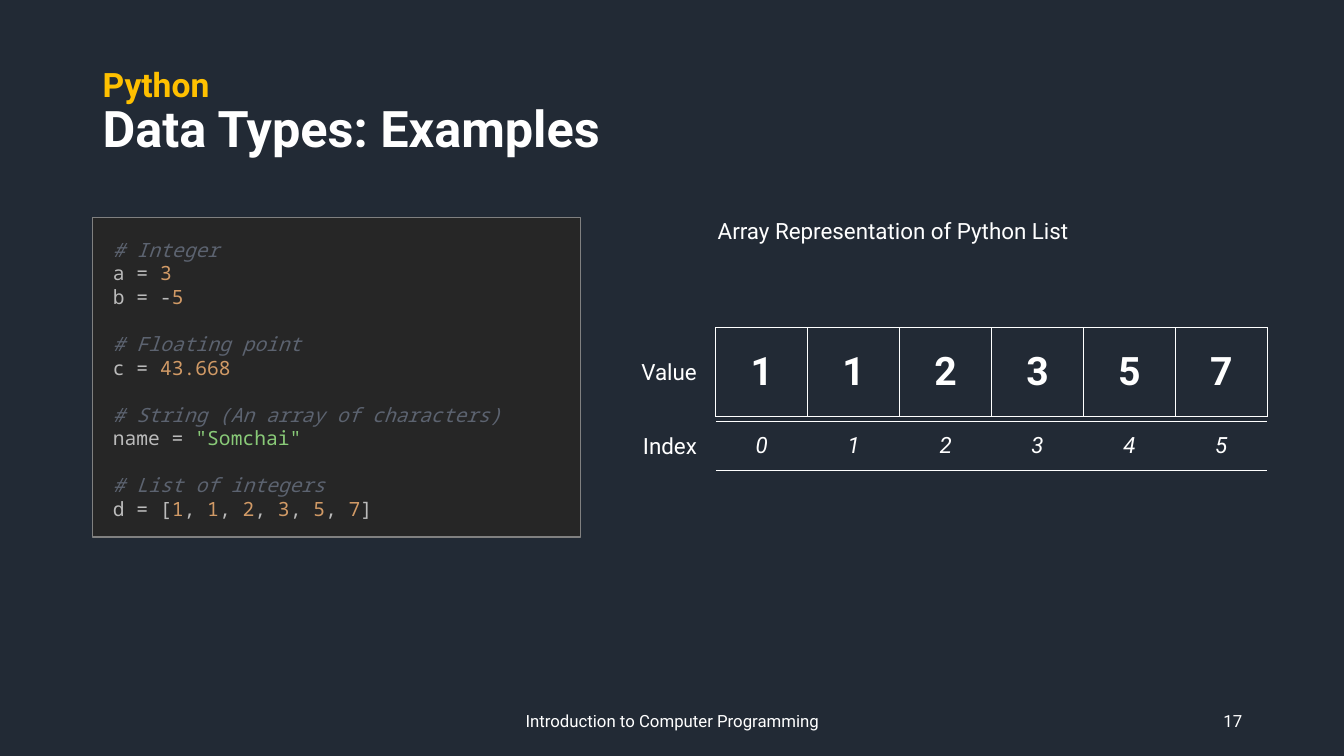
from lxml import etree
from pptx import Presentation
from pptx.dml.color import RGBColor
from pptx.enum.shapes import MSO_SHAPE
from pptx.enum.text import MSO_ANCHOR, PP_ALIGN
from pptx.oxml.ns import qn
from pptx.util import Inches, Pt

LEFT, CENTER, RIGHT = PP_ALIGN.LEFT, PP_ALIGN.CENTER, PP_ALIGN.RIGHT
TOP, MIDDLE = MSO_ANCHOR.TOP, MSO_ANCHOR.MIDDLE
RECTANGLE = MSO_SHAPE.RECTANGLE

BACKGROUND = RGBColor(0x22, 0x2A, 0x35)
WHITE = RGBColor(0xFF, 0xFF, 0xFF)
GOLD = RGBColor(0xFF, 0xC0, 0x00)
CODE_FILL = RGBColor(0x26, 0x26, 0x26)
CODE_BORDER = RGBColor(0x80, 0x80, 0x80)
COMMENT = RGBColor(0x5C, 0x63, 0x70)
PLAIN = RGBColor(0xBB, 0xBB, 0xBB)
NUMBER = RGBColor(0xD1, 0x9A, 0x66)
STRING = RGBColor(0x89, 0xCA, 0x78)


def style(paragraph, size, color=WHITE, align=LEFT, bold=False, italic=False, name="Roboto"):
    paragraph.alignment = align
    font = paragraph.font
    font.name, font.size, font.bold, font.italic = name, Pt(size), bold, italic
    font.color.rgb = color


def add_text(left, top, width, height, lines, align=LEFT, anchor=TOP):
    box = slide.shapes.add_textbox(Inches(left), Inches(top), Inches(width), Inches(height))
    frame = box.text_frame
    frame.word_wrap = True
    frame.vertical_anchor = anchor
    frame.text = "\n".join(text for text, *_ in lines)
    for paragraph, (_, size, color, bold) in zip(frame.paragraphs, lines):
        style(paragraph, size, color, align, bold)
    return frame


presentation = Presentation()
presentation.slide_width = Inches(13.33)
presentation.slide_height = Inches(7.5)
slide = presentation.slides.add_slide(presentation.slide_layouts[6])
slide.background.fill.solid()
slide.background.fill.fore_color.rgb = BACKGROUND

title = add_text(0.92, 0.4, 11.5, 1.45,
                 [("Python", 24, GOLD, True), ("Data Types: Examples", 36, WHITE, True)],
                 anchor=MIDDLE)
for paragraph in title.paragraphs:
    paragraph.line_spacing = 0.9

LABELS = [
    (4.42, 6.95, 4.5, 0.4, "Introduction to Computer Programming", 12, CENTER, MIDDLE),
    (9.42, 6.95, 3, 0.4, "17", 12, RIGHT, MIDDLE),
    (5.8, 4.24, 1.21, 0.37, "Index", 16, RIGHT, TOP),
    (5.8, 3.5, 1.21, 0.37, "Value", 16, RIGHT, TOP),
    (7.02, 2.11, 5.31, 0.37, "Array Representation of Python List", 16, LEFT, TOP),
]
for left, top, width, height, text, size, align, anchor in LABELS:
    add_text(left, top, width, height, [(text, size, WHITE, False)], align, anchor)

values = ["1", "1", "2", "3", "5", "7"]
list_runs = [("d = [", PLAIN)]
for position, value in enumerate(values):
    if position:
        list_runs.append((", ", PLAIN))
    list_runs.append((value, NUMBER))
list_runs.append(("]", PLAIN))

CODE_BLOCKS = [
    ("# Integer", [[("a = ", PLAIN), ("3", NUMBER)], [("b = -", PLAIN), ("5", NUMBER)]]),
    ("# Floating point", [[("c = ", PLAIN), ("43.668", NUMBER)]]),
    ("# String (An array of characters)", [[("name = ", PLAIN), ('"Somchai"', STRING)]]),
    ("# List of integers", [list_runs]),
]
code_box = slide.shapes.add_shape(RECTANGLE, Inches(0.92), Inches(2.16), Inches(4.84), Inches(3.17))
code_box.shadow.inherit = False
code_box.fill.solid()
code_box.fill.fore_color.rgb = CODE_FILL
code_box.line.color.rgb = CODE_BORDER
code_box.line.width = Pt(1)
code = code_box.text_frame
code.word_wrap = True
code.vertical_anchor = TOP
code.margin_left = code.margin_top = code.margin_right = code.margin_bottom = Inches(0.2)
for block, (comment, statements) in enumerate(CODE_BLOCKS):
    for row, runs in enumerate([[(comment, COMMENT)]] + statements):
        is_first = block == 0 and row == 0
        paragraph = code.paragraphs[0] if is_first else code.add_paragraph()
        style(paragraph, 14, PLAIN, italic=row == 0, name="Noto Sans Mono")
        if row == 0 and block:
            paragraph.space_before = Pt(16.85)
        for text, color in runs:
            run = paragraph.add_run()
            run.text = text
            run.font.color.rgb = color

TABLES = [
    (3.25, 0.88, values, 28, True, ("lnL", "lnR", "lnT", "lnB")),
    (4.18, 0.49, [str(index) for index in range(len(values))], 16, False, ("lnT", "lnB")),
]
for top, height, texts, size, is_value, borders in TABLES:
    table = slide.shapes.add_table(1, len(texts), Inches(7.1), Inches(top),
                                   Inches(5.47), Inches(height)).table
    table.first_row = table.horz_banding = False
    for cell, text in zip(table.iter_cells(), texts):
        cell.text = text
        cell.vertical_anchor = MIDDLE
        style(cell.text_frame.paragraphs[0], size, WHITE, CENTER, is_value, not is_value)
        properties = cell._tc.get_or_add_tcPr()
        for side in ("lnL", "lnR", "lnT", "lnB"):
            line = etree.SubElement(properties, qn("a:" + side), w=str(Pt(1)))
            if side in borders:
                fill = etree.SubElement(line, qn("a:solidFill"))
                etree.SubElement(fill, qn("a:srgbClr"), val=str(WHITE))
            else:
                etree.SubElement(line, qn("a:noFill"))
        cell.fill.background()

presentation.save("out.pptx")
